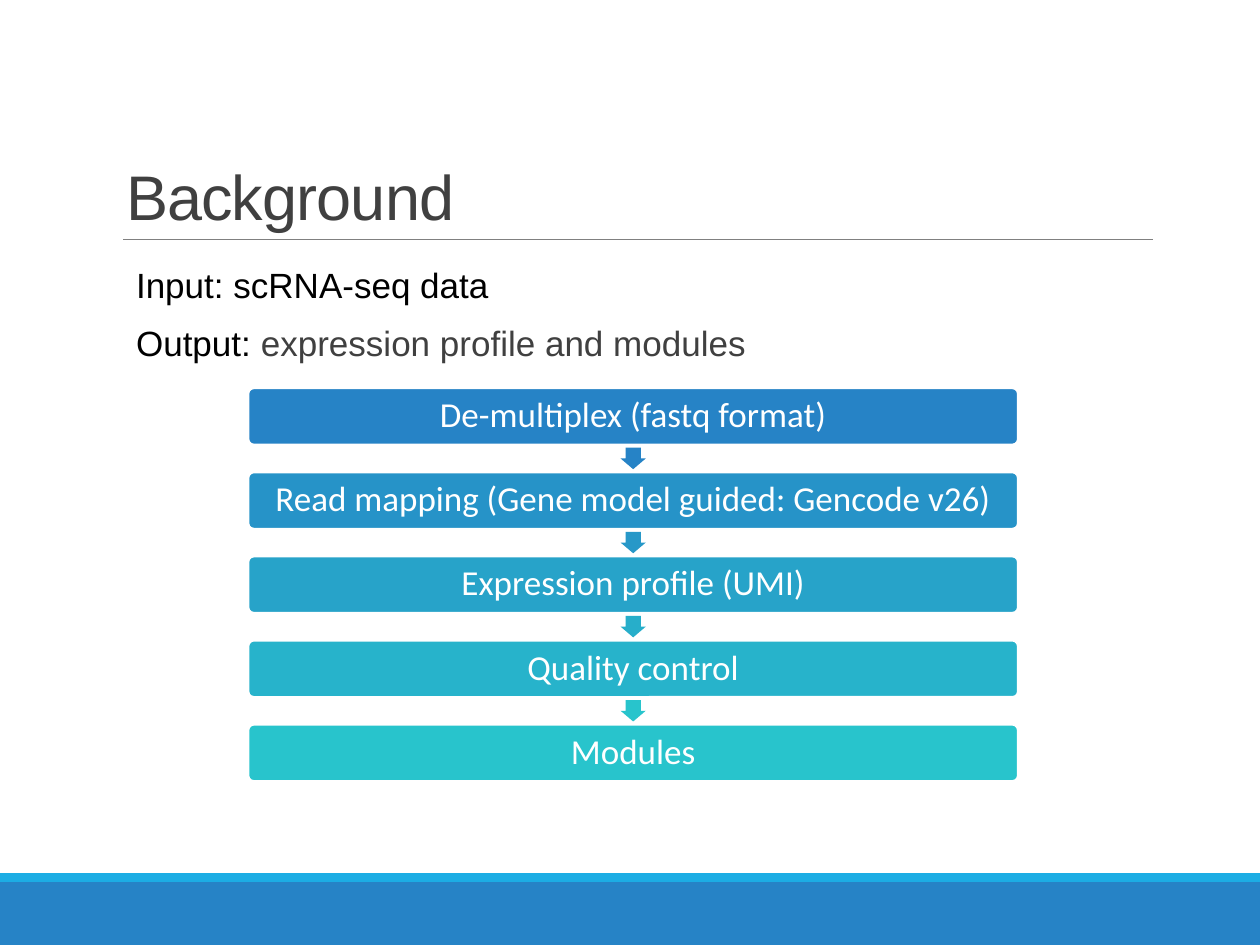
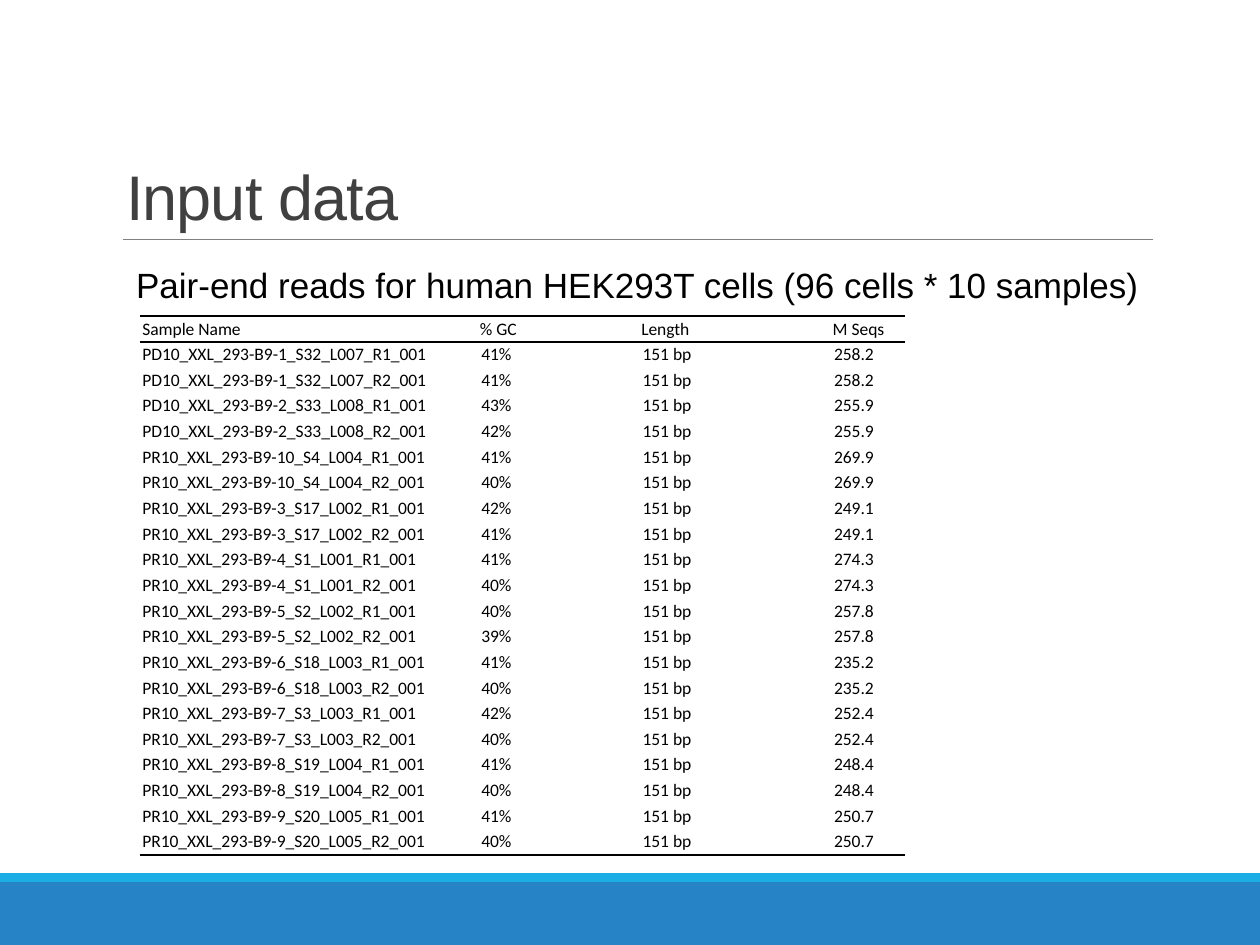
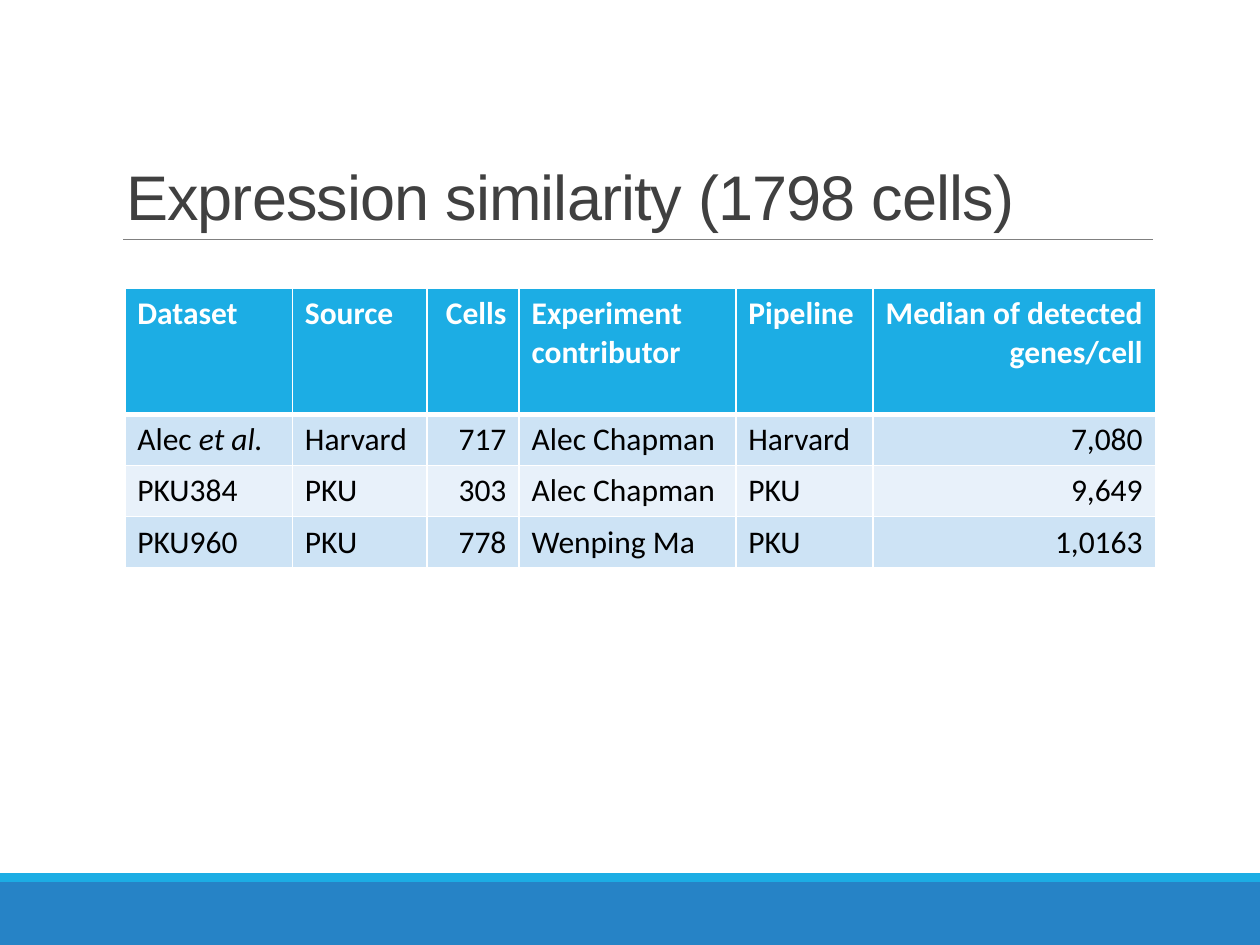
import pptx
import pptx.dml.color
import pptx.enum.shapes
import pptx.enum.text
import pptx.oxml
import pptx.oxml.ns
import pptx.util

Inches = pptx.util.Inches
Pt = pptx.util.Pt
SHAPES = pptx.enum.shapes.MSO_SHAPE
ALIGN = pptx.enum.text.PP_ALIGN
ANCHOR = pptx.enum.text.MSO_ANCHOR

BLUE, SKY, WHITE, BLACK = "2683C6", "1CADE4", "FFFFFF", "000000"
DARK_GREY, RULE_GREY = "404040", "808080"
HEADING_FONT, DATA_FONT = "Arial", "Calibri"
LEFT, WIDTH = 0.9, 8.25

GOALS = [
    [("Input: scRNA-seq data", BLACK)],
    [("Output: ", BLACK), ("expression profile and modules", DARK_GREY)],
]
# Step, box colour, colour of the arrow that follows
STEPS = [
    ("De-multiplex (fastq format)", "2683C6", "2683C6"),
    ("Read mapping (Gene model guided: Gencode v26)", "2693C8", "2798C8"),
    ("Expression profile (UMI)", "27A3C9", "27AECA"),
    ("Quality control", "27B3CB", "28C4CC"),
    ("Modules", "28C4CC", None),
]

READS = [[("Pair-end reads for human HEK293T cells (96 cells * 10 samples)", BLACK)]]
SAMPLE_HEADER = ("Sample Name", "% GC", "Length", "M Seqs")
READ_LENGTH = "151 bp"
# Sample, GC of read 1, GC of read 2, million sequences
SAMPLES = [
    ("PD10_XXL_293-B9-1_S32_L007", "41%", "41%", "258.2"),
    ("PD10_XXL_293-B9-2_S33_L008", "43%", "42%", "255.9"),
    ("PR10_XXL_293-B9-10_S4_L004", "41%", "40%", "269.9"),
    ("PR10_XXL_293-B9-3_S17_L002", "42%", "41%", "249.1"),
    ("PR10_XXL_293-B9-4_S1_L001", "41%", "40%", "274.3"),
    ("PR10_XXL_293-B9-5_S2_L002", "40%", "39%", "257.8"),
    ("PR10_XXL_293-B9-6_S18_L003", "41%", "40%", "235.2"),
    ("PR10_XXL_293-B9-7_S3_L003", "42%", "40%", "252.4"),
    ("PR10_XXL_293-B9-8_S19_L004", "41%", "40%", "248.4"),
    ("PR10_XXL_293-B9-9_S20_L005", "41%", "40%", "250.7"),
]
SAMPLE_COLUMNS = [2.68, 1.28, 1.52, 0.59]

DATASETS = [
    ("Dataset", "Source", "Cells", "Experiment contributor", "Pipeline",
     "Median of detected genes/cell"),
    ("Alec et al.", "Harvard", "717", "Alec Chapman", "Harvard", "7,080"),
    ("PKU384", "PKU", "303", "Alec Chapman", "PKU", "9,649"),
    ("PKU960", "PKU", "778", "Wenping Ma", "PKU", "1,0163"),
]
DATASET_COLUMNS = [1.33, 1.07, 0.73, 1.72, 1.09, 2.24]
NUMBER_COLUMNS = (2, 5)
ITALIC_PHRASE = "et al."


def rgb(colour):
    return pptx.dml.color.RGBColor.from_string(colour)


def add_run(paragraph, text, size, colour, font=DATA_FONT, bold=False, italic=False):
    run = paragraph.add_run()
    run.text = text
    run.font.name = font
    run.font.size = Pt(size)
    run.font.color.rgb = rgb(colour)
    run.font.bold = bold
    run.font.italic = italic
    return run


def place(part, left, top, width, height):
    part.left, part.top = Inches(left), Inches(top)
    part.width, part.height = Inches(width), Inches(height)


def add_block(slide, preset, left, top, width, height, fill):
    block = slide.shapes.add_shape(
        preset, Inches(left), Inches(top), Inches(width), Inches(height))
    block.shadow.inherit = False
    block.fill.solid()
    block.fill.fore_color.rgb = rgb(fill)
    block.line.fill.background()
    return block


def add_slide(deck, title, layout):
    """Add a slide with the shared bands, title rule and title."""
    slide = deck.slides.add_slide(deck.slide_layouts.get_by_name(layout))
    add_block(slide, SHAPES.RECTANGLE, 0, 7, 10, 0.5, BLUE)
    add_block(slide, SHAPES.RECTANGLE, 0, 6.93, 10, 0.07, SKY)
    rule = slide.shapes.add_connector(
        pptx.enum.shapes.MSO_CONNECTOR.STRAIGHT,
        Inches(0.98), Inches(1.9), Inches(9.15), Inches(1.9))
    rule.line.color.rgb = rgb(RULE_GREY)
    rule.line.width = Pt(0.5)
    rule.element.spPr.append(pptx.oxml.parse_xml(
        f"<a:effectLst {pptx.oxml.ns.nsdecls('a')}/>"))

    heading = slide.shapes.title
    place(heading, LEFT, 0.31, WIDTH, 1.59)
    frame = heading.text_frame
    frame.auto_size = pptx.enum.text.MSO_AUTO_SIZE.NONE
    frame.vertical_anchor = ANCHOR.BOTTOM
    paragraph = frame.paragraphs[0]
    paragraph.alignment = ALIGN.LEFT
    paragraph.line_spacing = 0.85
    run = add_run(paragraph, title, 36, DARK_GREY, HEADING_FONT)
    run.font._element.set("spc", "-50")
    return slide


def fill_body(slide, lines, height):
    body = slide.placeholders[1]
    place(body, LEFT, 2.04, WIDTH, height)
    frame = body.text_frame
    frame.auto_size = pptx.enum.text.MSO_AUTO_SIZE.NONE
    frame.margin_right = 0
    for index, line in enumerate(lines):
        paragraph = frame.add_paragraph() if index else frame.paragraphs[0]
        properties = paragraph._p.get_or_add_pPr()
        properties.set("marL", str(Inches(0.08)))
        properties.set("indent", "0")
        properties.append(pptx.oxml.parse_xml(
            f"<a:buNone {pptx.oxml.ns.nsdecls('a')}/>"))
        paragraph.space_before = Pt(7 if index else 0)
        paragraph.space_after = Pt(2)
        for text, colour in line:
            add_run(paragraph, text, 20, colour, HEADING_FONT)


def add_flow(slide):
    left, top, width, height = 1.97, 3.08, 6.11, 0.45
    pitch = (5.75 - top) / (len(STEPS) - 1)
    arrow_width, arrow_height = 0.17, 0.2
    for index, (step, box_colour, arrow_colour) in enumerate(STEPS):
        box_top = top + index * pitch
        box = add_block(slide, SHAPES.ROUNDED_RECTANGLE,
                        left, box_top, width, height, box_colour)
        box.adjustments[0] = 0.1
        box.line.color.rgb = rgb(WHITE)
        box.line.width = Pt(1.25)
        frame = box.text_frame
        frame.word_wrap = True
        frame.vertical_anchor = ANCHOR.MIDDLE
        frame.margin_left = frame.margin_right = Inches(0.08)
        frame.margin_top = frame.margin_bottom = 0
        paragraph = frame.paragraphs[0]
        paragraph.alignment = ALIGN.CENTER
        paragraph.line_spacing = 0.9
        add_run(paragraph, step, 20, WHITE)
        if arrow_colour:
            gap_middle = box_top + (height + pitch) / 2
            arrow = add_block(slide, SHAPES.RIGHT_ARROW,
                              left + (width - arrow_width) / 2,
                              gap_middle - arrow_height / 2,
                              arrow_width, arrow_height, arrow_colour)
            arrow.rotation = 90
            arrow.adjustments[0], arrow.adjustments[1] = 0.6, 0.5


def add_grid(slide, left, top, columns, row_heights):
    grid = slide.shapes.add_table(
        len(row_heights), len(columns), Inches(left), Inches(top),
        Inches(sum(columns)), Inches(sum(row_heights))).table
    grid.first_row = grid.horz_banding = False
    for column, width in zip(grid.columns, columns):
        column.width = Inches(width)
    for row, height in zip(grid.rows, row_heights):
        row.height = Inches(height)
    return grid


def style_cell(cell, fill, borders):
    """Fill a cell and draw borders given as {side: (colour, points)}."""
    properties = cell._tc.get_or_add_tcPr()
    for side in "LRTB":
        if side in borders:
            colour, points = borders[side]
            properties.append(pptx.oxml.parse_xml(
                f'<a:ln{side} {pptx.oxml.ns.nsdecls("a")} w="{Pt(points)}">'
                f'<a:solidFill><a:srgbClr val="{colour}"/></a:solidFill></a:ln{side}>'))
    cell.fill.solid()
    cell.fill.fore_color.rgb = rgb(fill)


def add_sample_table(slide):
    rows = [SAMPLE_HEADER]
    for sample, *gc_by_read, sequences in SAMPLES:
        for read, gc in enumerate(gc_by_read, 1):
            rows.append((f"{sample}_R{read}_001", gc, READ_LENGTH, sequences))
    grid = add_grid(slide, 1.11, 2.51, SAMPLE_COLUMNS, [0.2] * len(rows))
    ruled = (BLACK, 1)
    for r, row in enumerate(rows):
        borders = dict.fromkeys("LRTB", (WHITE, 0))
        if r <= 1:
            borders["T"] = ruled
        if r in (0, len(rows) - 1):
            borders["B"] = ruled
        for c, text in enumerate(row):
            cell = grid.cell(r, c)
            style_cell(cell, WHITE, borders)
            cell.margin_top = cell.margin_bottom = Pt(1.25)
            cell.margin_left = cell.margin_right = Inches(0.03 if r and c else 0.02)
            cell.vertical_anchor = ANCHOR.TOP if r else ANCHOR.BOTTOM
            add_run(cell.text_frame.paragraphs[0], text, 10, BLACK)


def add_dataset_table(slide):
    grid = add_grid(slide, 0.99, 2.29, DATASET_COLUMNS,
                    [1.0] + [0.4] * (len(DATASETS) - 1))
    for r, row in enumerate(DATASETS):
        header = r == 0
        fill = SKY if header else ("E8F1FA", "CDE3F5")[r % 2]
        borders = dict.fromkeys("LRTB", (WHITE, 1))
        if header:
            borders["B"] = (WHITE, 3)
        elif r == 1:
            borders["T"] = (WHITE, 3)
        for c, text in enumerate(row):
            cell = grid.cell(r, c)
            style_cell(cell, fill, borders)
            paragraph = cell.text_frame.paragraphs[0]
            paragraph.alignment = ALIGN.RIGHT if c in NUMBER_COLUMNS else ALIGN.LEFT
            colour = WHITE if header else BLACK
            plain, phrase, _ = text.partition(ITALIC_PHRASE)
            add_run(paragraph, plain, 18, colour, bold=header)
            if phrase:
                add_run(paragraph, phrase, 18, colour, italic=True)


def main():
    deck = pptx.Presentation()
    deck.slide_width, deck.slide_height = Inches(10), Inches(7.5)

    background = add_slide(deck, "Background", "Title and Content")
    fill_body(background, GOALS, 1.04)
    add_flow(background)

    input_data = add_slide(deck, "Input data", "Title and Content")
    fill_body(input_data, READS, 0.48)
    add_sample_table(input_data)

    similarity = add_slide(deck, "Expression similarity (1798 cells)", "Title Only")
    add_dataset_table(similarity)

    deck.save("out.pptx")


if __name__ == "__main__":
    main()
